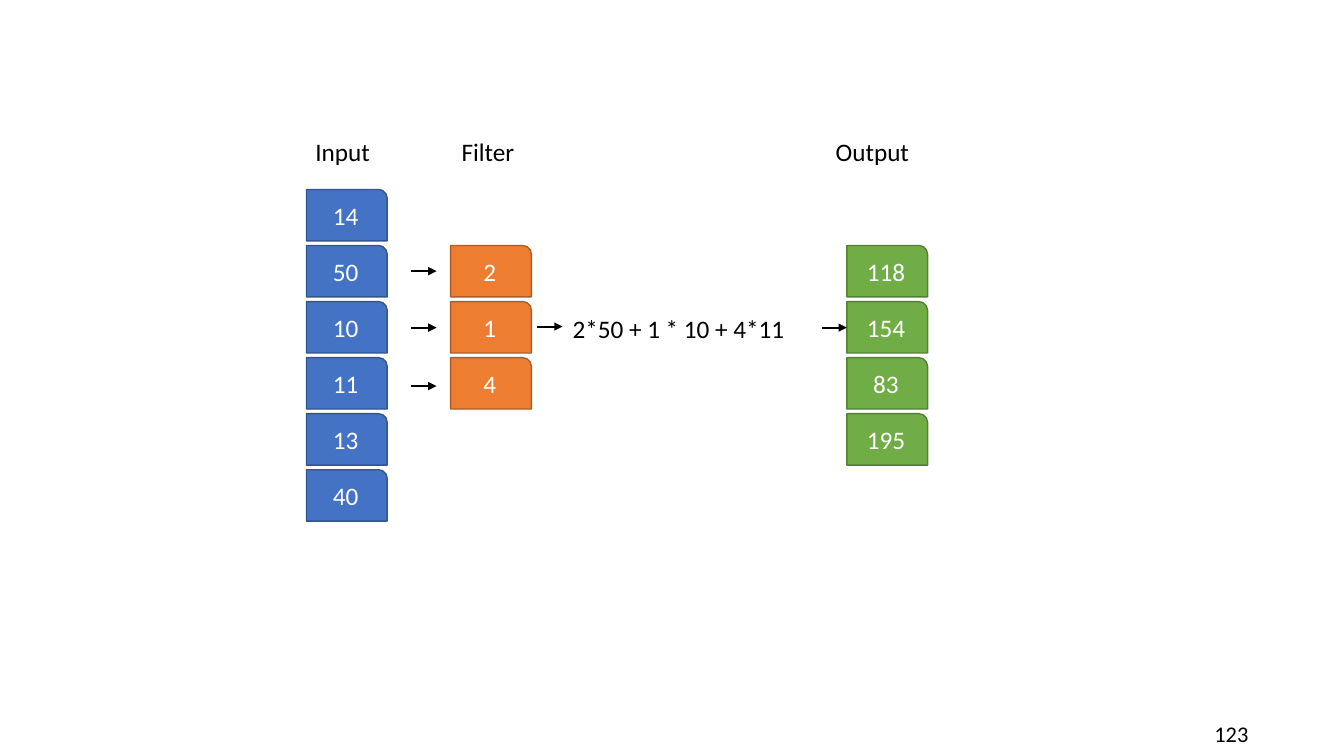
"""Build a slide showing a one-dimensional convolution of an input with a filter."""
from lxml import etree
from pptx import Presentation
from pptx.dml.color import RGBColor
from pptx.enum.shapes import MSO_CONNECTOR, MSO_SHAPE
from pptx.enum.text import MSO_ANCHOR, PP_ALIGN
from pptx.oxml.ns import qn
from pptx.util import Inches, Pt

ROUNDED = MSO_SHAPE.ROUND_1_RECTANGLE
STRAIGHT = MSO_CONNECTOR.STRAIGHT
LEFT, CENTER, RIGHT = PP_ALIGN.LEFT, PP_ALIGN.CENTER, PP_ALIGN.RIGHT
TOP, MIDDLE = MSO_ANCHOR.TOP, MSO_ANCHOR.MIDDLE

FIRST_ROW, LAST_ROW = 1.88, 4.66
ROW_STEP = (LAST_ROW - FIRST_ROW) / 5
CELL_WIDTH, CELL_HEIGHT = 0.8, 0.51


def color(hex_string):
    return RGBColor.from_string(hex_string)


def write(shape, text, size=18, font_color="000000", align=LEFT, anchor=TOP, wrap=False):
    frame = shape.text_frame
    frame.word_wrap = wrap
    frame.vertical_anchor = anchor
    paragraph = frame.paragraphs[0]
    paragraph.alignment = align
    run = paragraph.add_run()
    run.text = text
    run.font.name = "Calibri"
    run.font.size = Pt(size)
    run.font.color.rgb = color(font_color)


presentation = Presentation()
presentation.slide_width = Inches(13.33)
presentation.slide_height = Inches(7.5)
slide = presentation.slides.add_slide(presentation.slide_layouts[6])

columns = [
    (3.04, 0, "4472C4", "325491", ["14", "50", "10", "11", "13", "40"]),
    (4.47, 1, "ED7D31", "AF5C24", ["2", "1", "4"]),
    (8.4, 1, "70AD47", "538035", ["118", "154", "83", "195"]),
]
for left, start_row, fill, outline, values in columns:
    for row, value in enumerate(values, start_row):
        cell = slide.shapes.add_shape(
            ROUNDED, Inches(left), Inches(FIRST_ROW + row * ROW_STEP),
            Inches(CELL_WIDTH), Inches(CELL_HEIGHT))
        cell.shadow.inherit = False
        cell.fill.solid()
        cell.fill.fore_color.rgb = color(fill)
        cell.line.color.rgb = color(outline)
        cell.line.width = Pt(1)
        write(cell, value, font_color="FFFFFF", align=CENTER, anchor=MIDDLE, wrap=True)

labels = [
    ("Input", 3.03, 1.3, 0.81),
    ("Filter", 4.48, 1.3, 0.78),
    ("Output", 8.19, 1.3, 1.01),
    ("2*50 + 1 * 10 + 4*11", 5.58, 3.06, 2.51),
]
for text, left, top, width in labels:
    label = slide.shapes.add_textbox(Inches(left), Inches(top), Inches(width), Inches(0.37))
    write(label, text)

arrows = [(4.08, 2.69), (4.08, 3.25), (4.08, 3.83), (5.33, 3.24), (8.15, 3.25)]
for left, top in arrows:
    arrow = slide.shapes.add_connector(
        STRAIGHT, Inches(left), Inches(top), Inches(left + 0.25), Inches(top))
    arrow.line.color.rgb = color("000000")
    arrow.line.width = Pt(1.5)
    etree.SubElement(arrow.line._get_or_add_ln(), qn("a:tailEnd"), type="triangle")
    etree.SubElement(arrow._element.spPr, qn("a:effectLst"))

slide_number = slide.shapes.add_textbox(Inches(11.81), Inches(7.05), Inches(0.67), Inches(0.46))
write(slide_number, "123", size=16, align=RIGHT, anchor=MIDDLE, wrap=True)

presentation.save("out.pptx")
